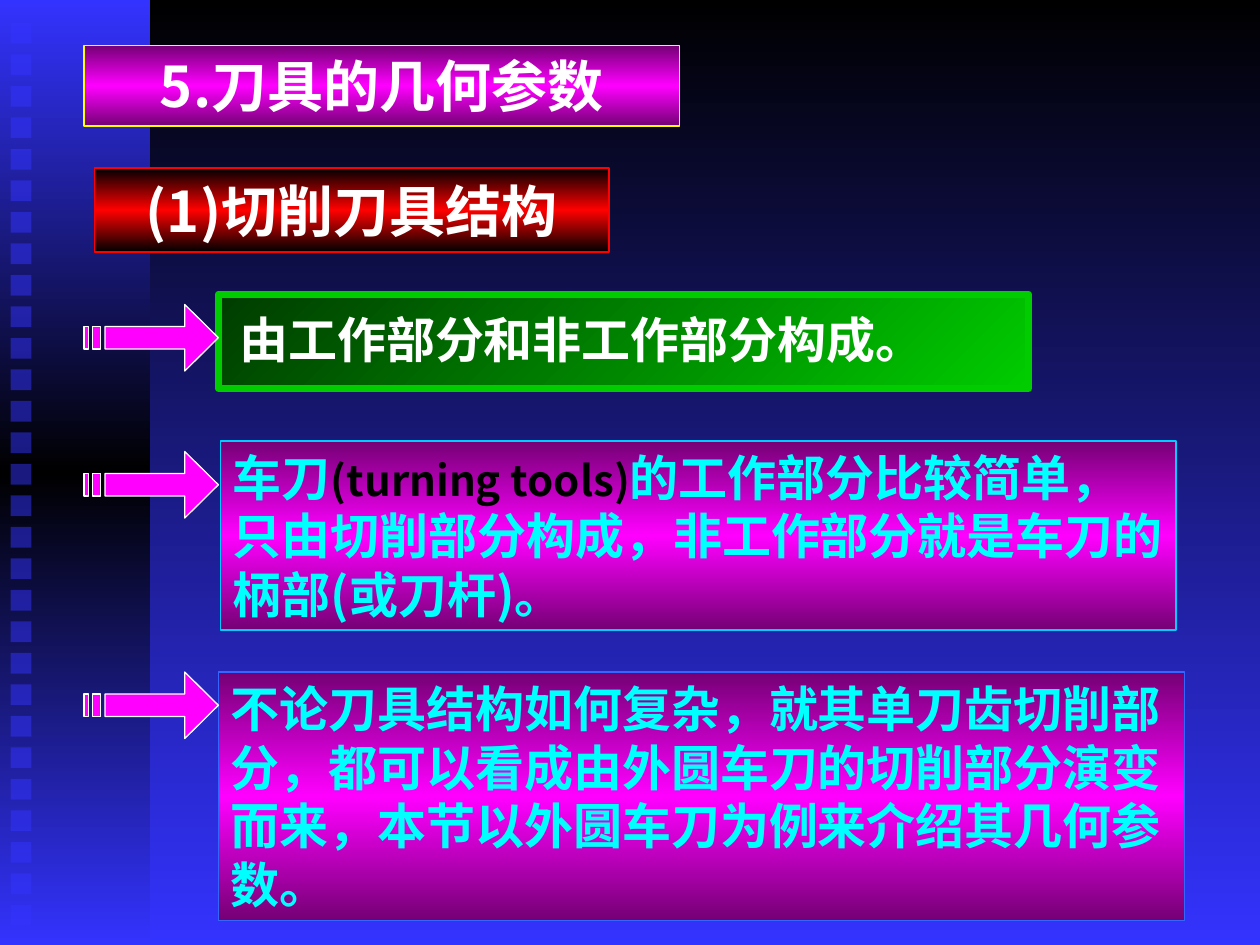
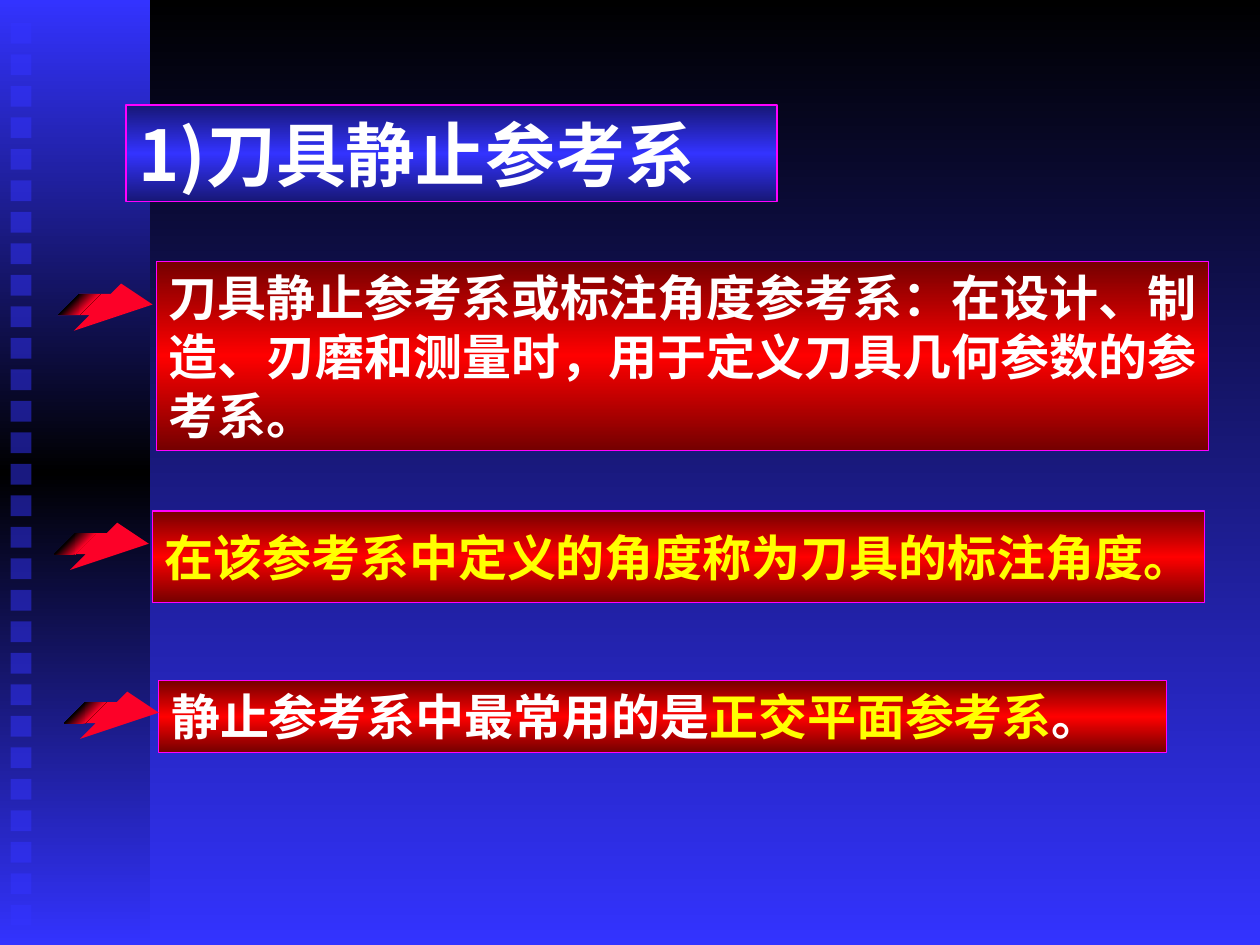
from dataclasses import dataclass

from lxml import etree
from pptx import Presentation
from pptx import util as u
from pptx.dml.color import RGBColor
from pptx.enum import lang, shapes, text
from pptx.oxml import ns

Point = tuple[float, float]


@dataclass(frozen=True)
class Theme:
    font: str = "Noto Sans CJK SC"
    white: str = "FFFFFF"
    black: str = "000000"
    yellow: str = "FFFF00"
    cyan: str = "00FFFF"
    blue: str = "3333FF"
    navy: str = "171775"
    magenta: str = "FF00FF"
    plum: str = "750075"
    red: str = "FF0000"
    maroon: str = "750000"
    crimson: str = "FC0128"
    green: str = "00CC00"
    forest: str = "003C00"
    sky: str = "00CCFF"
    azure: str = "3366FF"
    lecture: float = 40
    heading: float = 32
    body: float = 28
    term: float = 24
    hairline: float = 0.75


THEME = Theme()
PURPLE_GLOW = (THEME.plum, THEME.magenta, THEME.plum)
RED_GLOW = (THEME.maroon, THEME.red, THEME.maroon)
DOWN, DIAGONAL = 90, 225


@dataclass(frozen=True)
class Phrase:
    words: str
    color: str = THEME.white
    size: float = THEME.body


@dataclass(frozen=True)
class Panel:
    left: float
    top: float
    width: float
    height: float
    colors: tuple[str, ...]
    border: str
    paragraphs: tuple[tuple[Phrase, ...], ...]
    angle: int = DOWN
    border_width: float = THEME.hairline
    insets: tuple[float, float, float, float] = (7.2, 3.6, 7.2, 3.6)
    align: text.PP_ALIGN = text.PP_ALIGN.LEFT
    anchor: text.MSO_ANCHOR = text.MSO_ANCHOR.TOP
    wrap: bool = True


@dataclass(frozen=True)
class Lesson:
    panels: tuple[Panel, ...]
    draw_marker: object
    markers: tuple[Point, ...]


STRIPED_ARROW = (
    ((12, 12.6), (57.6, 12.6), (57.6, 0), (76.8, 19), (57.6, 38), (57.6, 25.4), (12, 25.4)),
    ((0, 12.6), (2.4, 12.6), (2.4, 25.4), (0, 25.4)),
    ((4.8, 12.6), (9.6, 12.6), (9.6, 25.4), (4.8, 25.4)),
)
BOLT = ((54, 12), (36, 0), (30, 6), (12, 6), (0, 18), (18, 18), (9, 27))
BOLT_TAIL = ((12, 6), (12, 18), (0, 18))
BOLT_FOLD = ((24, 6), (12, 6), (12, 18))


def apply(target, values: dict) -> None:
    for name, value in values.items():
        setattr(target, name, value)


def paint(owner, fill, colors: tuple[str, ...], angle: int = DOWN) -> None:
    if len(colors) == 1:
        fill.solid()
        fill.fore_color.rgb = RGBColor.from_string(colors[0])
        return
    fill.gradient()
    fill.gradient_angle = 360 - angle
    stops = owner.find(".//" + ns.qn("a:gsLst"))
    for stop in list(stops):
        stops.remove(stop)
    for index, color in enumerate(colors):
        position = index * 100000 // (len(colors) - 1)
        stop = etree.SubElement(stops, ns.qn("a:gs"), pos=str(position))
        etree.SubElement(stop, ns.qn("a:srgbClr"), val=color)


def finish(shape, colors: tuple[str, ...], angle: int = DOWN,
           border: str | None = None, border_width: float = THEME.hairline) -> None:
    shape.shadow.inherit = False
    paint(shape.element, shape.fill, colors, angle)
    if border is None:
        shape.line.fill.background()
    else:
        shape.line.color.rgb = RGBColor.from_string(border)
        shape.line.width = u.Pt(border_width)


def add_rectangle(slide, left: float, top: float, width: float, height: float):
    return slide.shapes.add_shape(
        shapes.MSO_SHAPE.RECTANGLE, *map(u.Pt, (left, top, width, height)))


def draw_outline(slide, origin: Point, contours: tuple[tuple[Point, ...], ...],
                 colors: tuple[str, ...], border: str | None = None) -> None:
    placed = [[(u.Pt(origin[0] + x), u.Pt(origin[1] + y)) for x, y in contour]
              for contour in contours]
    builder = slide.shapes.build_freeform(*placed[0][0])
    for index, contour in enumerate(placed):
        if index:
            builder.move_to(*contour[0])
        builder.add_line_segments(contour[1:], close=True)
    finish(builder.convert_to_shape(), colors, DIAGONAL, border)


def draw_striped_arrow(slide, origin: Point) -> None:
    draw_outline(slide, origin, STRIPED_ARROW, (THEME.magenta,), THEME.white)


def draw_bolt(slide, origin: Point) -> None:
    dark, bright = THEME.black, THEME.crimson
    draw_outline(slide, origin, (BOLT,), (bright,))
    draw_outline(slide, origin, (BOLT_TAIL,), (bright, dark, bright))
    draw_outline(slide, origin, (BOLT_FOLD,), (dark, bright, dark))


def write_phrase(paragraph, phrase: Phrase) -> None:
    run = paragraph.add_run()
    run.text = phrase.words
    apply(run.font, {
        "name": THEME.font,
        "size": u.Pt(phrase.size),
        "bold": True,
        "language_id": lang.MSO_LANGUAGE_ID.SIMPLIFIED_CHINESE,
    })
    run.font.color.rgb = RGBColor.from_string(phrase.color)
    etree.SubElement(run.font._element, ns.qn("a:ea"), typeface=THEME.font)


def draw_panel(slide, panel: Panel) -> None:
    box = add_rectangle(slide, panel.left, panel.top, panel.width, panel.height)
    finish(box, panel.colors, panel.angle, panel.border, panel.border_width)
    frame = box.text_frame
    sides = ("margin_left", "margin_top", "margin_right", "margin_bottom")
    apply(frame, {
        "word_wrap": panel.wrap,
        "vertical_anchor": panel.anchor,
        **dict(zip(sides, map(u.Pt, panel.insets))),
    })
    for index, phrases in enumerate(panel.paragraphs):
        paragraph = frame.add_paragraph() if index else frame.paragraphs[0]
        paragraph.alignment = panel.align
        for phrase in phrases:
            write_phrase(paragraph, phrase)


def draw_backdrop(slide) -> None:
    paint(slide.element, slide.background.fill, (THEME.black, THEME.blue))
    rail = add_rectangle(slide, 0, 0, 85.7, 540)
    finish(rail, (THEME.blue, THEME.black, THEME.blue))
    for row in range(29):
        square = add_rectangle(slide, 6, 13 + 18 * row, 12, 12)
        finish(square, (THEME.blue,))
        color = square.element.spPr.find(".//" + ns.qn("a:srgbClr"))
        etree.SubElement(color, ns.qn("a:alpha"), val="50000")


STRUCTURE = Lesson(
    panels=(
        Panel(48, 26, 340.5, 46, PURPLE_GLOW, THEME.yellow,
              ((Phrase("5.刀具的几何参数", size=THEME.heading),),),
              align=text.PP_ALIGN.CENTER),
        Panel(54, 96, 294, 48, (THEME.black, THEME.red, THEME.black), THEME.red,
              ((Phrase("(1)切削刀具结构", size=THEME.heading),),),
              border_width=1, insets=(1.4, 0.7, 1.4, 0.7), wrap=False,
              align=text.PP_ALIGN.CENTER, anchor=text.MSO_ANCHOR.MIDDLE),
        Panel(124.8, 168, 463, 54, (THEME.green, THEME.forest), THEME.green,
              ((Phrase("由工作部分和非工作部分构成。"),),),
              angle=DIAGONAL, border_width=4, insets=(12, 8.6, 7.2, 3.6)),
        Panel(126, 252, 546, 108, PURPLE_GLOW, THEME.sky,
              ((Phrase("车刀", THEME.cyan),
                Phrase("(turning tools)", THEME.black, THEME.term),
                Phrase("的工作部分比较简单，只由切削部分构成，"
                       "非工作部分就是车刀的柄部(或刀杆)。", THEME.cyan)),)),
        Panel(124.8, 384, 552, 142, PURPLE_GLOW, THEME.azure,
              ((Phrase("不论刀具结构如何复杂，就其单刀齿切削部分，"
                       "都可以看成由外圆车刀的切削部分演变而来，"
                       "本节以外圆车刀为例来介绍其几何参数。", THEME.cyan),),)),
    ),
    draw_marker=draw_striped_arrow,
    markers=((48, 174), (48, 258), (48, 384)),
)

REFERENCE_SYSTEM = Lesson(
    panels=(
        Panel(89.3, 149.3, 601.5, 108, RED_GLOW, THEME.magenta,
              ((Phrase("刀具静止参考系或标注角度参考系：在设计、制"),),
               (Phrase("造、刃磨和测量时，用于定义刀具几何参数的参"),),
               (Phrase("考系。"),)),
              wrap=False),
        Panel(72, 60, 372, 55.4, (THEME.navy, THEME.blue, THEME.navy), THEME.magenta,
              ((Phrase("1)刀具静止参考系", size=THEME.lecture),),),
              align=text.PP_ALIGN.JUSTIFY),
        Panel(87, 292, 601.5, 52.5, RED_GLOW, THEME.magenta,
              ((Phrase("在该参考系中定义的角度称为刀具的标注角度。", THEME.yellow),),),
              insets=(7.2, 9.4, 7.2, 9.4), wrap=False),
        Panel(90.7, 389, 576, 41, RED_GLOW, THEME.magenta,
              ((Phrase("静止参考系中最常用的是"),
                Phrase("正交平面参考系", THEME.yellow),
                Phrase("。")),)),
    ),
    draw_marker=draw_bolt,
    markers=((33.2, 162), (31, 298.7), (36.7, 395.2)),
)


def main() -> None:
    deck = Presentation()
    apply(deck, {"slide_width": u.Pt(720), "slide_height": u.Pt(540)})
    for lesson in (STRUCTURE, REFERENCE_SYSTEM):
        slide = deck.slides.add_slide(deck.slide_layouts[6])
        draw_backdrop(slide)
        for panel in lesson.panels:
            draw_panel(slide, panel)
        for origin in lesson.markers:
            lesson.draw_marker(slide, origin)
    deck.save("out.pptx")


if __name__ == "__main__":
    main()
